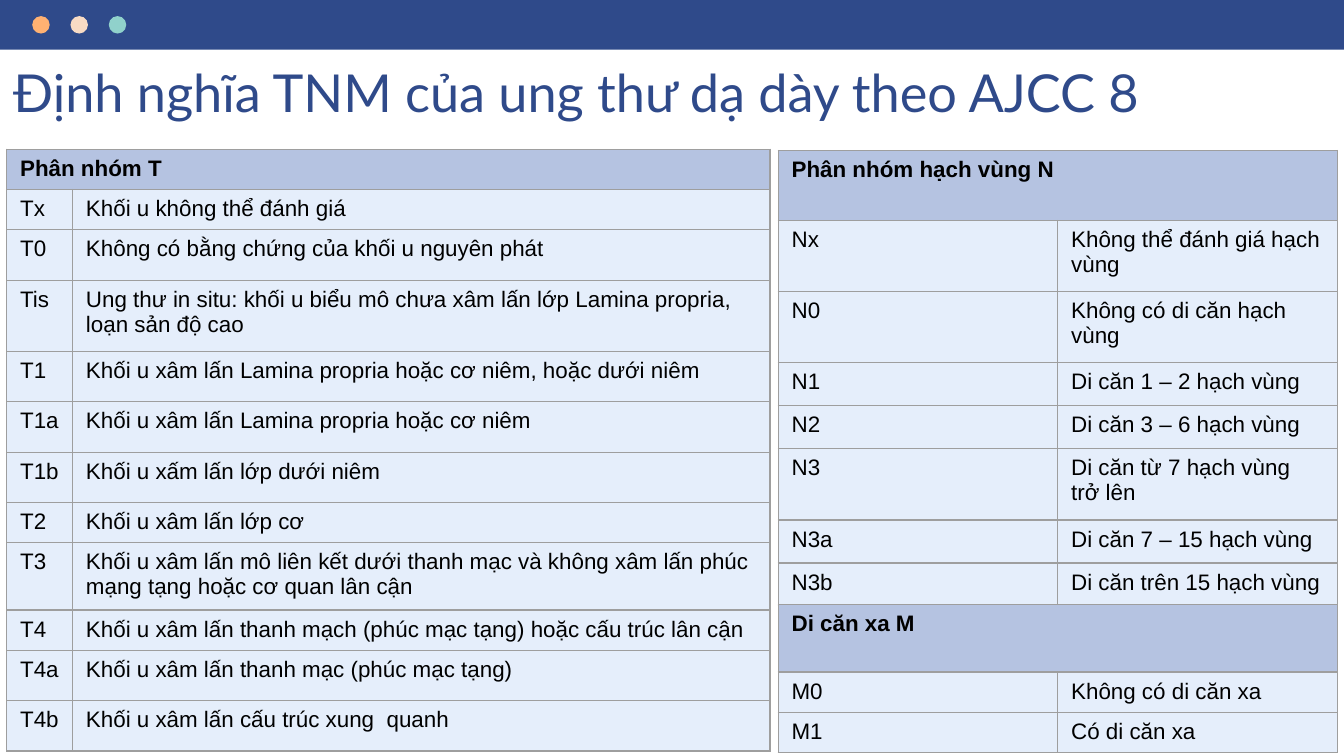
from dataclasses import dataclass

import pptx
import pptx.dml.color
import pptx.enum.shapes
import pptx.oxml
import pptx.oxml.ns
import pptx.util
from pptx.util import Inches

SLIDE_WIDTH = 10
SLIDE_HEIGHT = SLIDE_WIDTH * 9 / 16

NAVY = "2F4A8A"
HEADER_FILL = "B5C3E1"
BODY_FILL = "E5EEFB"
BORDER = "9E9E9E"
BLACK = "000000"


@dataclass
class Row:
    code: str
    definition: str
    height: float


@dataclass
class Staging:
    heading: str
    heading_height: float
    left: float
    top: float
    widths: tuple[float, float]
    rows: list[Row]


ONE, LOOSE, TWO = 0.3, 3 / 8, 0.53
N_ONE = 0.32

T_GROUP = Staging("Phân nhóm T", ONE, 0.05, 1.11, (0.49, 5.19), [
    Row("Tx", "Khối u không thể đánh giá", ONE),
    Row("T0", "Không có bằng chứng của khối u nguyên phát", LOOSE),
    Row("Tis", "Ung thư in situ: khối u biểu mô chưa xâm lấn lớp Lamina propria, "
        "loạn sản độ cao", TWO),
    Row("T1", "Khối u xâm lấn Lamina propria hoặc cơ niêm, hoặc dưới niêm", LOOSE),
    Row("T1a", "Khối u xâm lấn Lamina propria hoặc cơ niêm", LOOSE),
    Row("T1b", "Khối u xấm lấn lớp dưới niêm", LOOSE),
    Row("T2", "Khối u xâm lấn lớp cơ", ONE),
    Row("T3", "Khối u xâm lấn mô liên kết dưới thanh mạc và không xâm lấn phúc "
        "mạng tạng hoặc cơ quan lân cận", 0.5),
    Row("T4", "Khối u xâm lấn thanh mạch (phúc mạc tạng) hoặc cấu trúc lân cận", ONE),
    Row("T4a", "Khối u xâm lấn thanh mạc (phúc mạc tạng)", LOOSE),
    Row("T4b", "Khối u xâm lấn cấu trúc xung  quanh", LOOSE),
])
N_GROUP = Staging("Phân nhóm hạch vùng N", 0.52, 5.79, 1.12, (2.08, 2.08), [
    Row("Nx", "Không thể đánh giá hạch vùng", TWO),
    Row("N0", "Không có di căn hạch vùng", TWO),
    Row("N1", "Di căn 1 – 2 hạch vùng", N_ONE),
    Row("N2", "Di căn 3 – 6 hạch vùng", N_ONE),
    Row("N3", "Di căn từ 7 hạch vùng trở lên", TWO),
    Row("N3a", "Di căn 7 – 15 hạch vùng", N_ONE),
    Row("N3b", "Di căn trên 15 hạch vùng", N_ONE),
])
M_GROUP = Staging("Di căn xa M", 0.5, 5.79, 4.5, (2.08, 2.08), [
    Row("M0", "Không có di căn xa", ONE),
    Row("M1", "Có di căn xa", ONE),
])


def rgb(value: str) -> pptx.dml.color.RGBColor:
    return pptx.dml.color.RGBColor.from_string(value)


def style_text(tf, font: str, size: float, color: str, bold: bool = False) -> None:
    for p in tf.paragraphs:
        for r in p.runs:
            r.font.name = font
            r.font.size = pptx.util.Pt(size)
            r.font.bold = bold
            r.font.color.rgb = rgb(color)


def add_plain_shape(s, kind, left: float, top: float, width: float, height: float,
                    color: str) -> None:
    sp = s.shapes.add_shape(kind, Inches(left), Inches(top), Inches(width), Inches(height))
    sp.shadow.inherit = False
    sp.fill.solid()
    sp.fill.fore_color.rgb = rgb(color)
    sp.line.fill.background()


def style_cell(cell, fill: str, bold: bool) -> None:
    tcPr = cell._tc.get_or_add_tcPr()
    for side in ("lnL", "lnR", "lnT", "lnB"):
        tcPr.append(pptx.oxml.parse_xml(
            f'<a:{side} {pptx.oxml.ns.nsdecls("a")} w="{pptx.util.Pt(0.75)}">'
            f'<a:solidFill><a:srgbClr val="{BORDER}"/></a:solidFill></a:{side}>'))
    cell.fill.solid()
    cell.fill.fore_color.rgb = rgb(fill)
    style_text(cell.text_frame, "Arial", 12, BLACK, bold)


def add_staging_table(s, group: Staging) -> None:
    heights = [group.heading_height] + [row.height for row in group.rows]
    table = s.shapes.add_table(len(heights), 2, Inches(group.left), Inches(group.top),
                               Inches(sum(group.widths)), Inches(sum(heights))).table
    for column, width in zip(table.columns, group.widths):
        column.width = Inches(width)
    for table_row, height in zip(table.rows, heights):
        table_row.height = Inches(height)

    table.cell(0, 0).merge(table.cell(0, 1))
    table.cell(0, 0).text_frame.text = group.heading
    for i, row in enumerate(group.rows, start=1):
        table.cell(i, 0).text_frame.text = row.code
        table.cell(i, 1).text_frame.text = row.definition
    for i, table_row in enumerate(table.rows):
        for cell in table_row.cells:
            style_cell(cell, BODY_FILL if i else HEADER_FILL, bold=i == 0)


def add_title(s, text: str) -> None:
    tf = s.shapes.add_textbox(Inches(0), Inches(0.35), Inches(9.52), Inches(0.51)).text_frame
    tf.word_wrap = True
    tf.margin_left = tf.margin_right = tf.margin_top = tf.margin_bottom = Inches(0.1)
    tf.text = text
    style_text(tf, "Lato", 28, NAVY)


def main() -> None:
    prs = pptx.Presentation()
    prs.slide_width, prs.slide_height = Inches(SLIDE_WIDTH), Inches(SLIDE_HEIGHT)
    s = prs.slides.add_slide(prs.slide_layouts[6])

    shape_kinds = pptx.enum.shapes.MSO_SHAPE
    add_plain_shape(s, shape_kinds.RECTANGLE, 0, 0, SLIDE_WIDTH, 0.37, NAVY)
    for i, color in enumerate(("FFB172", "F8DBC4", "90D1CB")):
        add_plain_shape(s, shape_kinds.OVAL, 0.24 + 0.57 / 2 * i, 0.12, 0.13, 0.13, color)

    for group in (T_GROUP, N_GROUP, M_GROUP):
        add_staging_table(s, group)
    add_title(s, "Định nghĩa TNM của ung thư dạ dày theo AJCC 8")
    prs.save("out.pptx")


if __name__ == "__main__":
    main()
